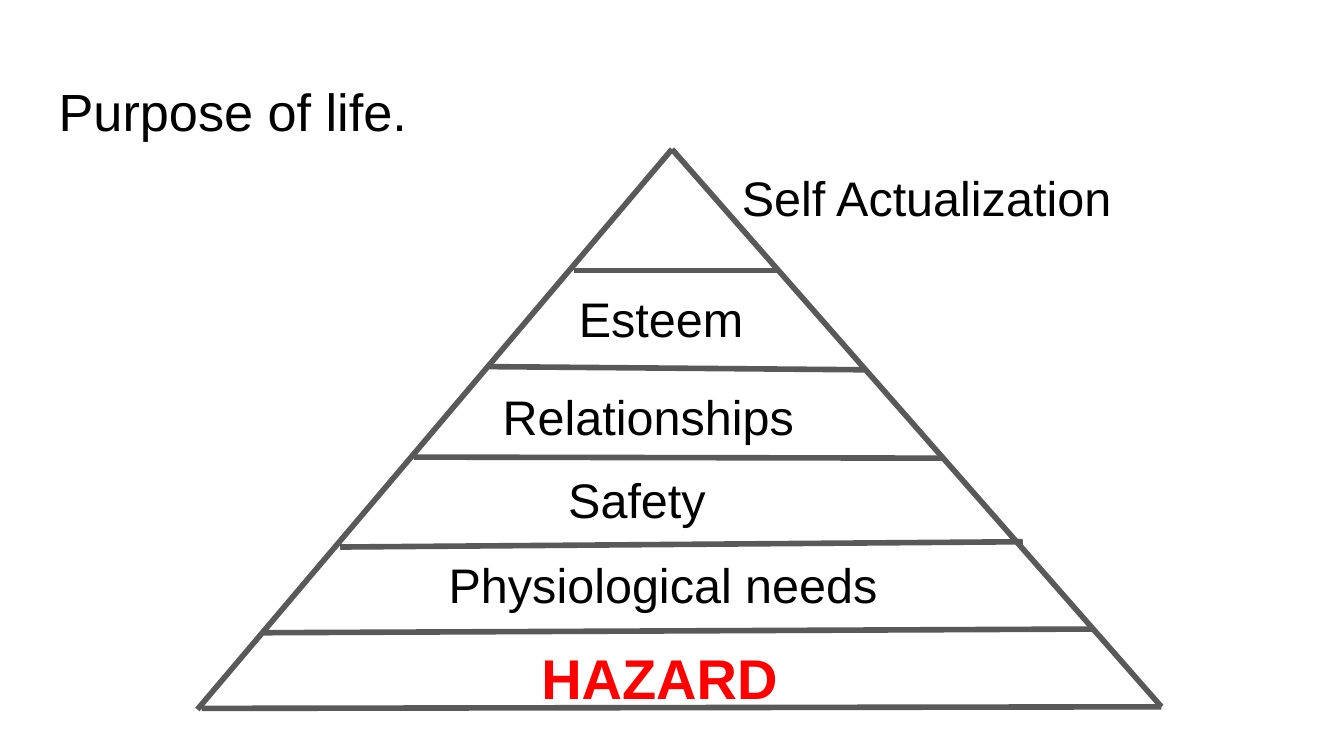
from lxml import etree
from pptx import Presentation
from pptx import util as u
from pptx.dml.color import RGBColor
from pptx.enum import shapes, text
from pptx.oxml import ns

BLACK = RGBColor(0x00, 0x00, 0x00)
GRAY = RGBColor(0x59, 0x59, 0x59)
RED = RGBColor(0xFF, 0x00, 0x00)


class Pen:
    font = "Arial"
    pad = u.Cm(0.25)
    width = u.Pt(3)

    def __init__(self, slide):
        self.slide = slide

    def line(self, start, end):
        points = [u.Cm(n) for n in (*start, *end)]
        line = self.slide.shapes.add_connector(
            shapes.MSO_CONNECTOR.STRAIGHT, *points)
        line.line.color.rgb = GRAY
        line.line.width = self.width
        etree.SubElement(line._element.spPr, ns.qn("a:effectLst"))

    def label(self, words, x, y, w=17.81, h=2.08, size=26,
              color=BLACK, bold=False):
        box = self.slide.shapes.add_textbox(*map(u.Cm, (x, y, w, h)))
        frame = box.text_frame
        frame.word_wrap = True
        frame.vertical_anchor = text.MSO_ANCHOR.TOP
        frame.margin_left = frame.margin_right = self.pad
        frame.margin_top = frame.margin_bottom = self.pad
        run = frame.paragraphs[0].add_run()
        run.text = words
        run.font.name = self.font
        run.font.size = u.Pt(size)
        run.font.bold = bold
        run.font.color.rgb = color


def main():
    deck = Presentation()
    deck.slide_width, deck.slide_height = u.Cm(25.4), u.Cm(14.29)
    pen = Pen(deck.slides.add_slide(deck.slide_layouts[6]))

    pen.label("Purpose of life.", 0.86, 1.24, 23.67, 1.6, size=28)

    peak, left, right = (12.7, 2.82), (3.73, 13.41), (21.95, 13.36)
    pen.line(peak, left)
    pen.line(right, peak)

    tiers = [
        ((3.81, 13.39), right),
        ((4.98, 11.96), (20.65, 11.89)),
        ((6.43, 10.34), (19.33, 10.24)),
        ((7.82, 8.64), (17.83, 8.66)),
        ((9.25, 6.93), (16.36, 6.99)),
        ((10.85, 5.11), (14.73, 5.11)),
    ]
    for start, end in tiers:
        pen.line(start, end)

    pen.label("HAZARD", 9.98, 11.91, 5.82, 1.75, 30, RED, True)
    needs = [
        ("Physiological needs", 8.23, 10.24),
        ("Safety", 10.49, 8.64),
        ("Relationships", 9.25, 7.06),
        ("Esteem", 10.69, 5.21),
        ("Self Actualization", 13.77, 2.92),
    ]
    for words, x, y in needs:
        pen.label(words, x, y)

    deck.save("out.pptx")


if __name__ == "__main__":
    main()
